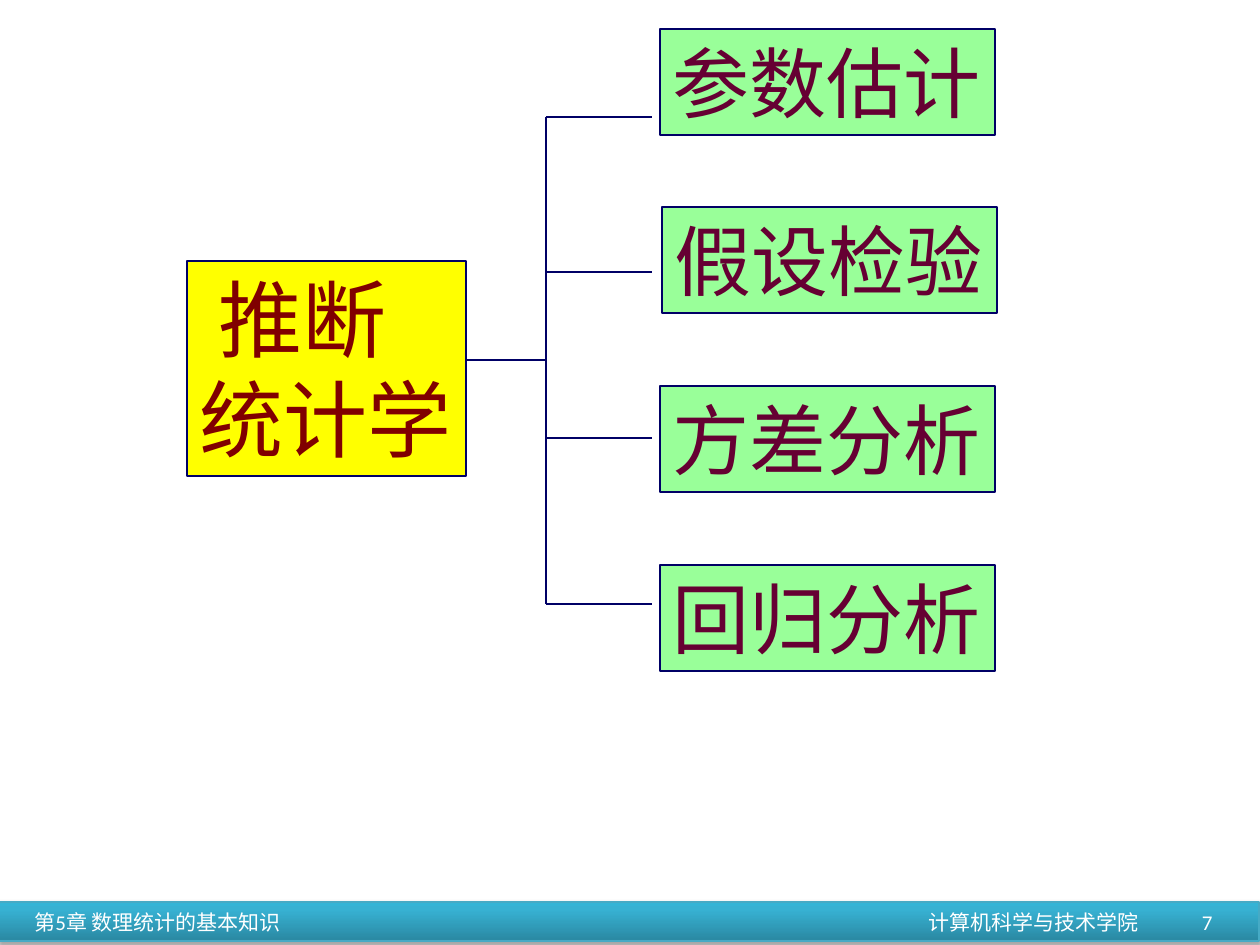
from lxml import etree
from pptx import Presentation
from pptx.dml.color import RGBColor
from pptx.enum import shapes, text
from pptx.oxml import parse_xml
from pptx.oxml.ns import nsdecls, qn
from pptx.util import Pt

PX = 914400 // 126
THEME = {
    "line": "000066", "line_width": 0.75, "bar_line": "46AAC5",
    "bar_stops": [(0, "2A88A2"), (80, "37B1D2"), (100, "34B4D6")],
    "root": {"font": "Noto Sans CJK JP", "east": "Noto Sans CJK JP", "size": 48, "color": "800000"},
    "branch": {"font": "Times New Roman", "east": "Noto Sans CJK SC", "size": 44, "color": "660033"},
    "footer": {"font": "Calibri", "east": "Noto Sans CJK SC", "size": 12, "color": "FFFFFF"},
}


def write(shape, lines, style, align=text.PP_ALIGN.LEFT, **frame_format):
    frame = shape.text_frame
    for name, value in frame_format.items():
        setattr(frame, name, value)
    frame.text = "\n".join(lines)
    for paragraph in frame.paragraphs:
        paragraph.alignment = align
        for run in paragraph.runs:
            run.font.name = style["font"]
            run.font.size = Pt(style["size"])
            etree.SubElement(run.font._element, qn("a:ea"), typeface=style["east"])
            run.font.color.rgb = RGBColor.from_string(style["color"])


def add_box(left, top, width, height, line, fill=None):
    shape = slide.shapes.add_shape(shapes.MSO_SHAPE.RECTANGLE,
                                   left * PX, top * PX, width * PX, height * PX)
    shape.shadow.inherit = False
    shape.line.color.rgb = RGBColor.from_string(line)
    shape.line.width = Pt(THEME["line_width"])
    if fill:
        shape.fill.solid()
        shape.fill.fore_color.rgb = RGBColor.from_string(fill)
    return shape


presentation = Presentation()
presentation.slide_width = 1260 * PX
presentation.slide_height = 945 * PX
slide = presentation.slides.add_slide(presentation.slide_layouts[6])

# Footer bar: three-stop gradient and soft shadow
bar = add_box(-1, 902, 1260, 39, THEME["bar_line"])
bar.fill.gradient()
bar.fill.gradient_angle = 90
stop_list = bar._element.spPr.find(".//" + qn("a:gsLst"))
for stop in list(stop_list):
    stop_list.remove(stop)
for position, color in THEME["bar_stops"]:
    stop = etree.SubElement(stop_list, qn("a:gs"), pos=str(position * 1000))
    etree.SubElement(stop, qn("a:srgbClr"), val=color)
bar._element.spPr.find(qn("a:effectLst")).append(parse_xml(
    f'<a:outerShdw {nsdecls("a")} blurRad="40000" dist="23000" dir="5400000" rotWithShape="0">'
    '<a:srgbClr val="000000"><a:alpha val="35000"/></a:srgbClr></a:outerShdw>'))

# Footer text
footer_texts = [
    ("第5章 数理统计的基本知识", 22, 400, text.PP_ALIGN.LEFT),
    ("计算机科学与技术学院", 851, 300, text.PP_ALIGN.RIGHT),
    ("7", 1165, 60, text.PP_ALIGN.RIGHT),
]
for label, left, width, align in footer_texts:
    box = slide.shapes.add_textbox(left * PX, 897 * PX, width * PX, 50 * PX)
    write(box, [label], THEME["footer"], align,
          word_wrap=True, vertical_anchor=text.MSO_ANCHOR.MIDDLE)

# Branch boxes
branches = [("参数估计", 660), ("假设检验", 662), ("方差分析", 660), ("回归分析", 660)]
for row, (label, left) in enumerate(branches):
    box = add_box(left, 29 + round(178.5 * row), 335, 106, THEME["line"], "99FF99")
    write(box, [label], THEME["branch"], word_wrap=False,
          vertical_anchor=text.MSO_ANCHOR.TOP, auto_size=text.MSO_AUTO_SIZE.SHAPE_TO_FIT_TEXT)

# Bracket: trunk, four branches, stem to the root
trunk_x, branch_end = 546, 652
branch_ys = [117, 272, 438, 604]
segments = [(trunk_x, branch_ys[0], trunk_x, branch_ys[-1]), (trunk_x, 360, 460, 360)]
segments += [(trunk_x, y, branch_end, y) for y in branch_ys]
for segment in segments:
    line = slide.shapes.add_connector(shapes.MSO_CONNECTOR.STRAIGHT, *(value * PX for value in segment))
    line.line.color.rgb = RGBColor.from_string(THEME["line"])
    line.line.width = Pt(THEME["line_width"])
    etree.SubElement(line._element.spPr, qn("a:effectLst"))

# Root box
root = add_box(187, 261, 279, 215, THEME["line"], "FFFF00")
write(root, [" 推断", "统计学"], THEME["root"], word_wrap=False,
      vertical_anchor=text.MSO_ANCHOR.TOP, auto_size=text.MSO_AUTO_SIZE.SHAPE_TO_FIT_TEXT)

presentation.save("out.pptx")
